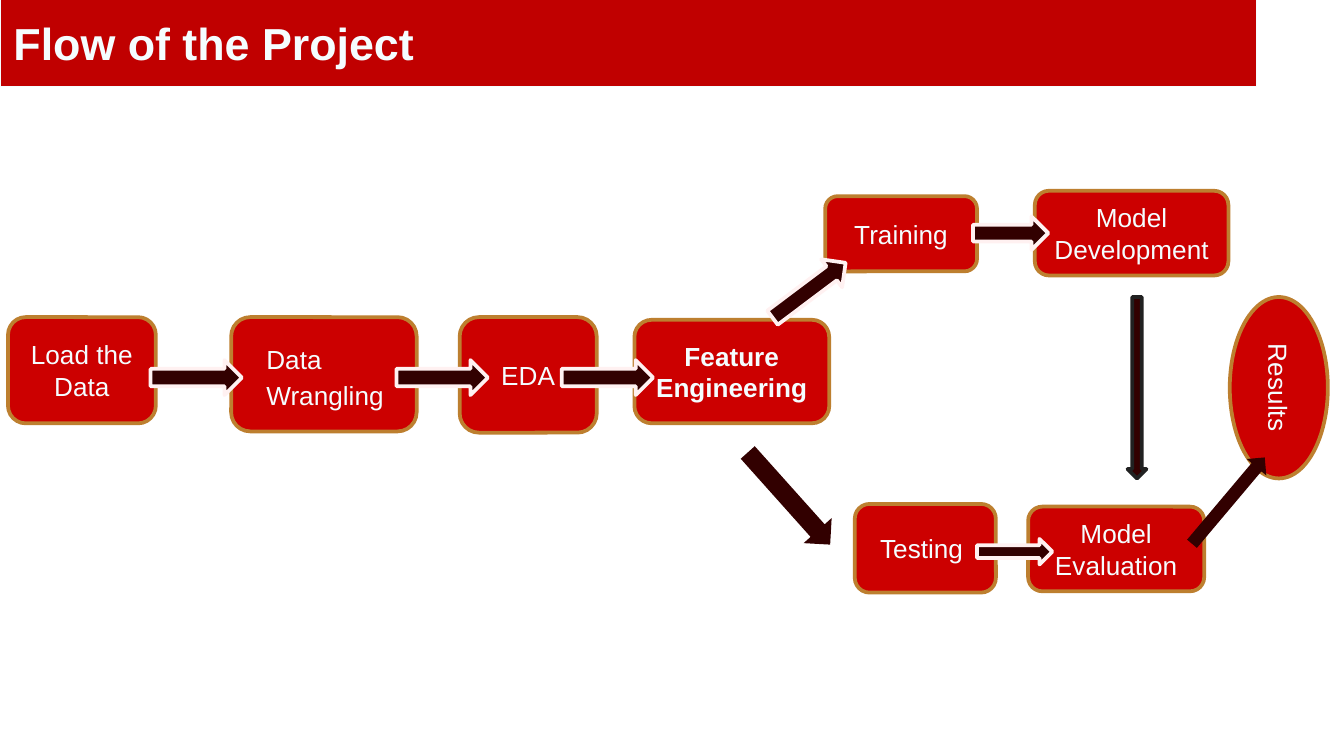
import dataclasses

import pptx
import pptx.dml.color
import pptx.enum.shapes
import pptx.enum.text
import pptx.util

Inches = pptx.util.Inches
Pt = pptx.util.Pt
Kind = pptx.enum.shapes.MSO_SHAPE
Align = pptx.enum.text.PP_ALIGN

PALE, RED, GOLD = "F5FDFF", "CC0000", "BD7F2F"
DARK, PINK, BLACK = "320000", "FFF1F1", "212121"


@dataclasses.dataclass
class Step:
    text: str
    left: float
    top: float
    width: float
    height: float
    kind: int = Kind.ROUNDED_RECTANGLE
    turn: float = 0
    bold: bool = False
    align: int = Align.CENTER
    indent: float = 0
    space: float = 1.0


@dataclasses.dataclass
class Arrow:
    left: float
    top: float
    width: float = 0.68
    height: float = 0.26
    turn: float = 0
    edge: str | None = PINK
    kind: int = Kind.RIGHT_ARROW


def color(code: str):
    return pptx.dml.color.RGBColor.from_string(code)


def paint(shape, fill: str, edge: str | None, weight: float = 2) -> None:
    shape.fill.solid()
    shape.fill.fore_color.rgb = color(fill)
    if edge is None:
        shape.line.fill.background()
    else:
        shape.line.color.rgb = color(edge)
        shape.line.width = Pt(weight)


def write(shape, text: str, size: float = 14, bold: bool = False,
          align: int = Align.CENTER, indent: float = 0,
          space: float = 1.0) -> None:
    frame = shape.text_frame
    frame.word_wrap = True
    frame.auto_size = pptx.enum.text.MSO_AUTO_SIZE.NONE
    frame.vertical_anchor = pptx.enum.text.MSO_ANCHOR.MIDDLE
    frame.margin_left = Inches(0.1 + indent)
    frame.margin_right = Inches(0.1)
    frame.margin_top = frame.margin_bottom = Inches(0.05)
    para = frame.paragraphs[0]
    para.alignment = align
    para.line_spacing = space
    run = para.add_run()
    run.text = text
    run.font.name = "Arial"
    run.font.size = Pt(size)
    run.font.bold = bold
    run.font.color.rgb = color(PALE)


def place(slide, item: Step | Arrow):
    shape = slide.shapes.add_shape(
        item.kind, Inches(item.left), Inches(item.top),
        Inches(item.width), Inches(item.height))
    shape.shadow.inherit = False
    shape.rotation = item.turn
    return shape


def draw_step(slide, step: Step) -> None:
    shape = place(slide, step)
    paint(shape, RED, GOLD)
    write(shape, step.text, bold=step.bold, align=step.align,
          indent=step.indent, space=step.space)


def draw_arrow(slide, arrow: Arrow) -> None:
    paint(place(slide, arrow), DARK, arrow.edge)


STEPS = [
    Step("Load the Data", 0.06, 2.36, 1.1, 0.79),
    Step("Data Wrangling", 1.72, 2.36, 1.38, 0.85, align=Align.LEFT,
         indent=0.12, space=1.15),
    Step("EDA", 3.42, 2.36, 1.02, 0.86),
    Step("Model Development", 7.7, 1.42, 1.44, 0.63),
    Step("Testing ", 6.36, 3.75, 1.05, 0.66),
    Step("Training", 6.14, 1.46, 1.13, 0.56),
    Step("Feature Engineering", 4.72, 2.38, 1.45, 0.77, bold=True),
    Step("Model Evaluation", 7.65, 3.77, 1.31, 0.63),
    Step("Results", 8.84, 2.52, 1.35, 0.73, kind=Kind.OVAL, turn=90),
]

ARROWS = [
    Arrow(1.12, 2.68),
    Arrow(5.41, 3.57, 0.92, 0.28, turn=48.2, edge=None),
    Arrow(8.72, 3.63, 0.84, 0.19, turn=310.1, edge=None),
    Arrow(2.95, 2.68),
    Arrow(4.18, 2.68),
    Arrow(5.68, 2.03, turn=323.1),
    Arrow(7.24, 1.61, 0.56, 0.25),
    Arrow(7.27, 4.01, 0.56, 0.19),
    Arrow(8.39, 2.21, 0.14, 1.35, edge=BLACK, kind=Kind.DOWN_ARROW),
]


def main() -> None:
    # Wide page, 16 to 9
    deck = pptx.Presentation()
    deck.slide_width = Inches(10)
    deck.slide_height = Inches(10 * 9 / 16)
    slide = deck.slides.add_slide(deck.slide_layouts[5])

    # Title band
    title = slide.shapes.title
    title.left, title.top = Inches(0), Inches(-0.01)
    title.width, title.height = Inches(9.35), Inches(0.65)
    paint(title, "C00000", PALE, 0.25)
    write(title, "Flow of the Project", size=24, bold=True, align=Align.LEFT)

    # Steps of the flow, then the arrows over them
    for step in STEPS:
        draw_step(slide, step)
    for arrow in ARROWS:
        draw_arrow(slide, arrow)

    deck.save("out.pptx")


if __name__ == "__main__":
    main()
